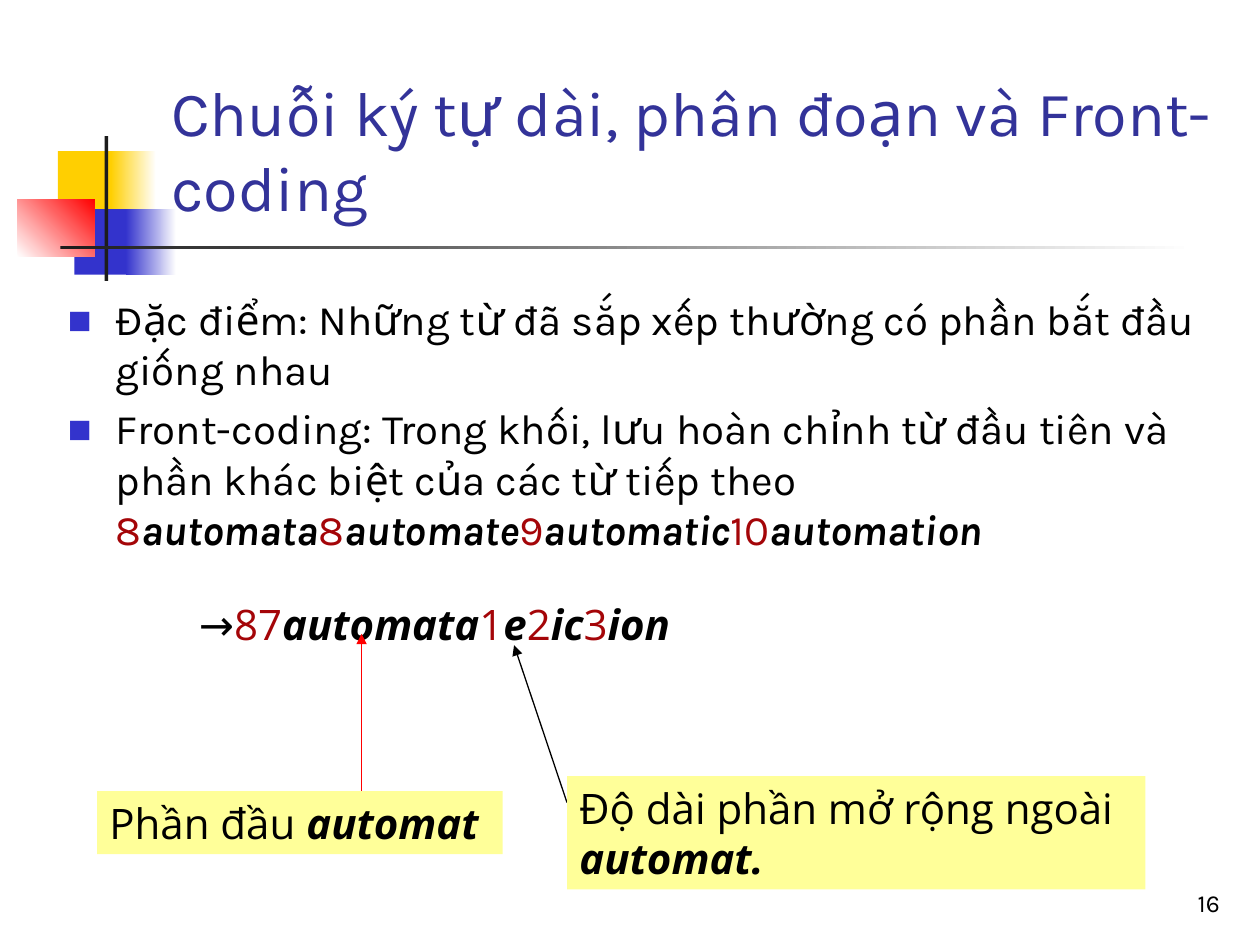
from dataclasses import dataclass
from typing import Optional

from lxml import etree
from pptx import Presentation
from pptx import util as u
from pptx.dml.color import RGBColor
from pptx.enum import shapes, text
from pptx.oxml import ns


@dataclass(frozen=True)
class Theme:
    head_font: str = "Karla"
    note_font: str = "Open Sans"
    title: str = "333399"
    ink: str = "000000"
    number: str = "A40508"
    bullet: str = "3333CC"
    note: str = "FFFF99"
    yellow: str = "FFCF01"
    red: str = "FF0000"
    bar: str = "1C1C1C"
    white: str = "FFFFFF"
    title_size: int = 36
    body_size: int = 24
    page_size: int = 14


@dataclass(frozen=True)
class Area:
    left: float
    top: float
    width: float
    height: float

    def emu(self) -> tuple:
        return tuple(u.Inches(n) for n in (self.left, self.top, self.width, self.height))


@dataclass(frozen=True)
class Block:
    area: Area
    start: str
    end: Optional[str] = None
    angle: int = 0


@dataclass(frozen=True)
class Run:
    words: str
    color: str = Theme.ink
    strong: bool = False


@dataclass(frozen=True)
class Arrow:
    start: tuple
    end: tuple
    color: str
    width: float


T = Theme()
prs = Presentation()
prs.slide_width, prs.slide_height = u.Inches(10), u.Inches(7.5)
s = prs.slides.add_slide(prs.slide_layouts[5])


def add_block(block: Block):
    sp = s.shapes.add_shape(shapes.MSO_SHAPE.RECTANGLE, *block.area.emu())
    sp.shadow.inherit = False
    sp.line.fill.background()
    if block.end:
        sp.fill.gradient()
        sp.fill.gradient_angle = block.angle
        for stop, color, position in zip(sp.fill.gradient_stops, (block.start, block.end), (0, 1)):
            stop.color.rgb = RGBColor.from_string(color)
            stop.position = position
    else:
        sp.fill.solid()
        sp.fill.fore_color.rgb = RGBColor.from_string(block.start)
    return sp


def add_bullet(p) -> None:
    pPr = p._p.get_or_add_pPr()
    pPr.set("marL", str(u.Inches(0.38)))
    pPr.set("indent", str(-u.Inches(0.38)))
    spacing = etree.SubElement(pPr, ns.qn("a:spcBef"))
    etree.SubElement(spacing, ns.qn("a:spcPct"), val="20000")
    color = etree.SubElement(pPr, ns.qn("a:buClr"))
    etree.SubElement(color, ns.qn("a:srgbClr"), val=T.bullet)
    etree.SubElement(pPr, ns.qn("a:buSzPct"), val="60000")
    etree.SubElement(pPr, ns.qn("a:buFont"), typeface=T.note_font)
    etree.SubElement(pPr, ns.qn("a:buChar"), char="■")


def write(sp, paragraphs: list, *, font: str = T.note_font, size: int = T.body_size,
          align=text.PP_ALIGN.LEFT, anchor=text.MSO_ANCHOR.TOP,
          wrap: bool = True, bullets: bool = False) -> None:
    tf = sp.text_frame
    tf.word_wrap = wrap
    tf.auto_size = text.MSO_AUTO_SIZE.NONE if wrap else text.MSO_AUTO_SIZE.SHAPE_TO_FIT_TEXT
    tf.vertical_anchor = anchor
    for i, runs in enumerate(paragraphs):
        p = tf.add_paragraph() if i else tf.paragraphs[0]
        p.alignment = align
        if bullets:
            add_bullet(p)
        for run in runs:
            r = p.add_run()
            r.text = run.words
            r.font.name, r.font.size = font, u.Pt(size)
            r.font.bold = r.font.italic = run.strong
            r.font.color.rgb = RGBColor.from_string(run.color)


def add_text(area: Area, paragraphs: list, **style) -> None:
    write(s.shapes.add_textbox(*area.emu()), paragraphs, **style)


def add_arrow(arrow: Arrow) -> None:
    ends = [u.Inches(n) for n in (*arrow.start, *arrow.end)]
    line = s.shapes.add_connector(shapes.MSO_CONNECTOR.STRAIGHT, *ends)
    line.line.color.rgb = RGBColor.from_string(arrow.color)
    line.line.width = u.Pt(arrow.width)
    etree.SubElement(line.line._get_or_add_ln(), ns.qn("a:tailEnd"), type="triangle")
    etree.SubElement(line._element.spPr, ns.qn("a:effectLst"))


def coded(*pairs: tuple) -> list:
    return [run for number, word in pairs
            for run in (Run(number, T.number), Run(word, strong=True))]


BLOCKS = [
    Block(Area(0.46, 1.2, 0.48, 0.52), T.yellow),
    Block(Area(0.88, 1.2, 0.36, 0.52), T.yellow, T.white),
    Block(Area(0.59, 1.66, 0.46, 0.52), T.bullet),
    Block(Area(1, 1.66, 0.4, 0.52), T.bullet, T.white),
    Block(Area(0.14, 1.58, 0.61, 0.46), T.white, T.red, 45),
    Block(Area(0.83, 1.08, 0.03, 1.15), T.bar),
    Block(Area(0.48, 1.95, 9, 0.03), T.bar, T.white),
]
for block in BLOCKS:
    add_block(block)

title = s.shapes.title
title.left, title.top, title.width, title.height = Area(1.26, 0.44, 8.52, 1.39).emu()
write(title, [[Run("Chuỗi ký tự dài, phân đoạn và Front-coding", T.title)]],
      font=T.head_font, size=T.title_size, anchor=text.MSO_ANCHOR.BOTTOM)

add_text(Area(7.7, 6.83, 2.08, 0.5), [[Run("16")]], font=T.head_font, size=T.page_size,
         align=text.PP_ALIGN.RIGHT, anchor=text.MSO_ANCHOR.BOTTOM)

add_text(Area(0.44, 2.28, 9.36, 2.49), [
    [Run("Đặc điểm: Những từ đã sắp xếp thường có phần bắt đầu giống nhau")],
    [Run("Front-coding: Trong khối, lưu hoàn chỉnh từ đầu tiên và "
         "phần khác biệt của các từ tiếp theo "),
     *coded(("8", "automata"), ("8", "automate"), ("9", "automatic"), ("10", "automation"))],
], font=T.head_font, bullets=True)

add_text(Area(1.48, 4.7, 3.94, 0.5), [
    [Run("→"), *coded(("87", "automata"), ("1", "e"), ("2", "ic"), ("3", "ion"))],
], wrap=False)

NOTES = [
    (Arrow((2.87, 6.28), (2.87, 5.03), T.red, 1), Area(0.77, 6.28, 3.22, 0.5),
     [[Run("Phần đầu "), Run("automat", strong=True)]]),
    (Arrow((4.5, 6.37), (4.08, 5.12), T.ink, 0.75), Area(4.5, 6.16, 4.59, 0.9),
     [[Run("Độ dài phần mở rộng ngoài")], [Run("automat.", strong=True)]]),
]
for arrow, area, paragraphs in NOTES:
    add_arrow(arrow)
    write(add_block(Block(area, T.note)), paragraphs, wrap=False)

prs.save("out.pptx")
